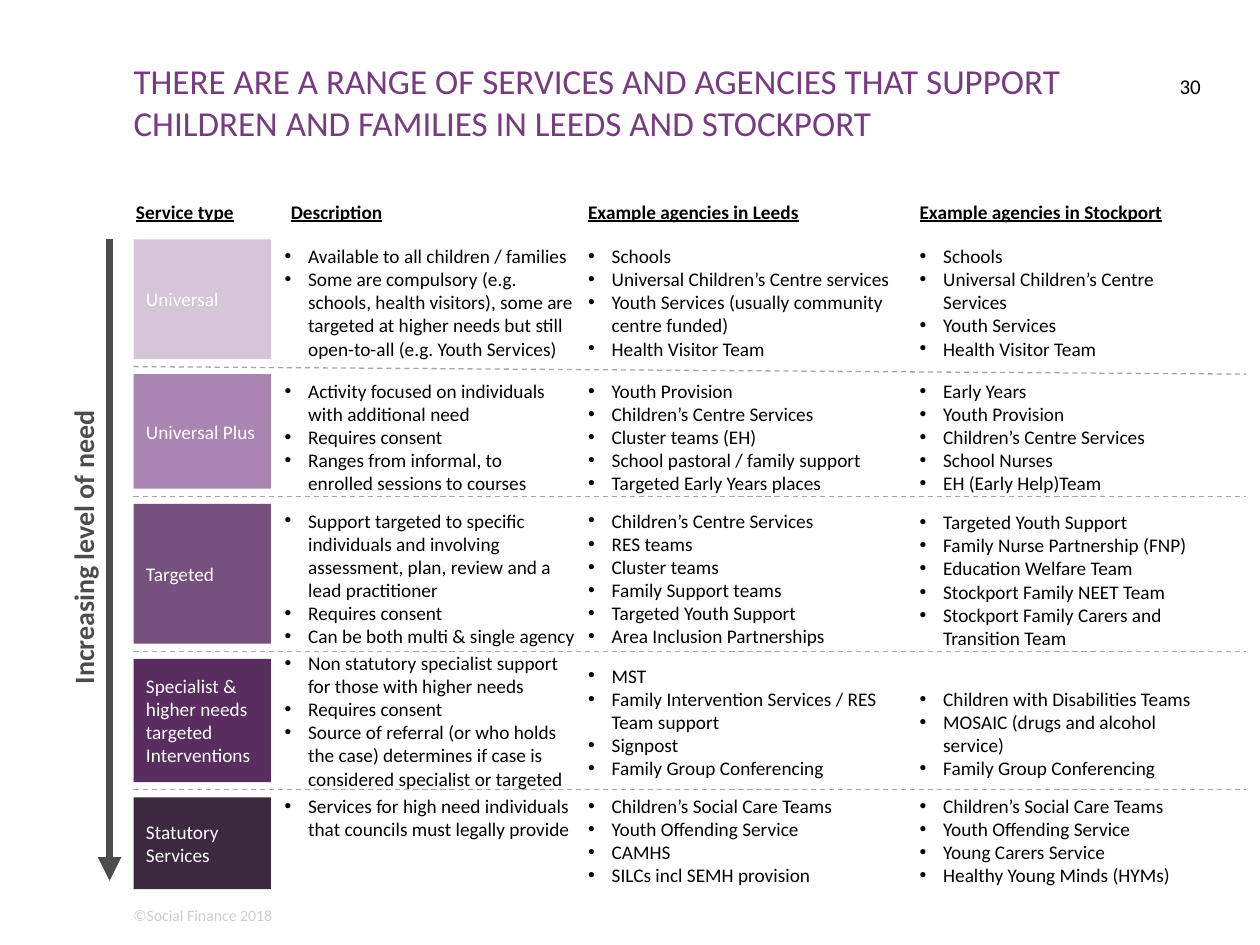
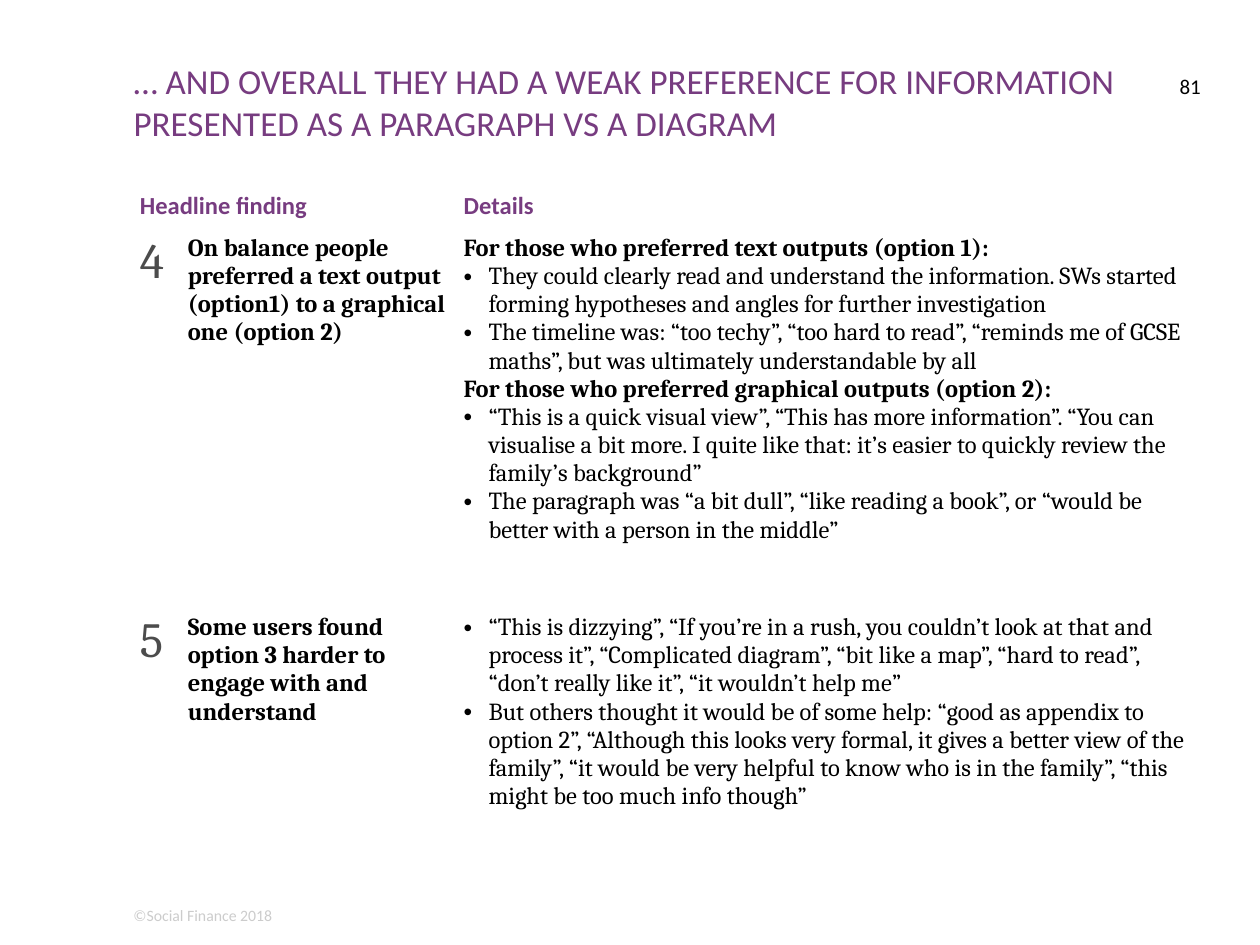
from pptx import Presentation
from pptx import util as u
from pptx.dml.color import RGBColor
from pptx.enum import dml, shapes, text
from lxml import etree
from pptx.oxml.ns import qn

COLORS = {
    "title": "773C80", "body": "000000", "white": "FFFFFF", "grey": "4C4C4C",
    "footer": "CCCCCC", "rule": "A6A6A6",
}
LEFT = 76.3


class Deck:
    def __init__(self):
        self.prs = Presentation()
        self.prs.slide_width, self.prs.slide_height = u.Pt(720), u.Pt(540)
        self.s = None

    def rgb(self, color):
        return RGBColor.from_string(COLORS.get(color, color))

    def place(self, sp, left, top, width, height):
        sp.left, sp.top = u.Pt(left), u.Pt(top)
        sp.width, sp.height = u.Pt(width), u.Pt(height)

    def frame(self, tf, inset=(7.2, 3.6), anchor="TOP"):
        tf.word_wrap = True
        tf.auto_size = text.MSO_AUTO_SIZE.NONE
        tf.margin_left = tf.margin_right = u.Pt(inset[0])
        tf.margin_top = tf.margin_bottom = u.Pt(inset[1])
        tf.vertical_anchor = text.MSO_ANCHOR[anchor]

    def set_text(self, tf, lines, size=11, color="body", bold=False, font="Calibri",
                 align="LEFT", underline=False, indent=0):
        lines = [lines] if isinstance(lines, str) else lines
        tf.text = "\n".join(lines)
        for p in tf.paragraphs:
            p.alignment = text.PP_ALIGN[align]
            if indent:
                self.bullet(p, indent)
            for r in p.runs:
                r.font.name, r.font.size = font, u.Pt(size)
                r.font.bold, r.font.underline = bold, underline
                r.font.color.rgb = self.rgb(color)

    def bullet(self, p, indent):
        pPr = p._p.get_or_add_pPr()
        pPr.set("marL", str(u.Pt(indent)))
        pPr.set("indent", str(-u.Pt(indent)))
        etree.SubElement(pPr, qn("a:buFont"), typeface="Arial")
        etree.SubElement(pPr, qn("a:buChar"), char="•")

    def slide(self, title, number):
        self.s = self.prs.slides.add_slide(self.prs.slide_layouts[5])
        sp = self.s.shapes.title
        self.place(sp, LEFT, 33.8, 574.6, 53.3)
        self.frame(sp.text_frame, (0, 0))
        self.set_text(sp.text_frame, title, 20, "title")
        self.text((666, 41.8, 20.2, 28.8), number, inset=(0, 0), size=12, align="RIGHT")
        self.text((LEFT, 517.7, 607.7, 10.8), "©Social Finance 2018", inset=(0, 0),
                  size=9, color="footer")

    def text(self, box, lines, inset=(7.2, 3.6), anchor="TOP", **style):
        sp = self.s.shapes.add_textbox(*map(u.Pt, box))
        self.frame(sp.text_frame, inset, anchor)
        self.set_text(sp.text_frame, lines, **style)
        return sp

    def block(self, box, label, fill):
        sp = self.s.shapes.add_shape(shapes.MSO_SHAPE.RECTANGLE, *map(u.Pt, box))
        sp.shadow.inherit = False
        sp.fill.solid()
        sp.fill.fore_color.rgb = self.rgb(fill)
        sp.line.fill.background()
        self.frame(sp.text_frame, anchor="MIDDLE")
        self.set_text(sp.text_frame, label, color="white")

    def line(self, start, end, color, width, dashed=False, arrow=False):
        sp = self.s.shapes.add_connector(
            shapes.MSO_CONNECTOR.STRAIGHT, *map(u.Pt, start + end))
        sp.line.color.rgb = self.rgb(color)
        sp.line.width = u.Pt(width)
        if dashed:
            sp.line.dash_style = dml.MSO_LINE.DASH
        spPr = sp._element.spPr
        if arrow:
            etree.SubElement(spPr.find(qn("a:ln")), qn("a:tailEnd"), type="triangle")
        etree.SubElement(spPr, qn("a:effectLst"))

    def table(self, left, top, widths, heights):
        sp = self.s.shapes.add_table(len(heights), len(widths), u.Pt(left), u.Pt(top),
                                     u.Pt(sum(widths)), u.Pt(sum(heights)))
        table = sp.table
        table.first_row = table.horz_banding = False
        for column, width in zip(table.columns, widths):
            column.width = u.Pt(width)
        for row, height in zip(table.rows, heights):
            row.height = u.Pt(height)
        for cell in table.iter_cells():
            cell.fill.background()
            cell.margin_left = cell.margin_right = u.Pt(3.6)
            cell.margin_top = cell.margin_bottom = u.Pt(3.6)
        return table


SERVICE_HEADERS = [
    (70.6, 114.5, "Service type"),
    (159.1, 213.8, "Description"),
    (329, 228.2, "Example agencies in Leeds"),
    (518.4, 228.2, "Example agencies in Stockport"),
]
COLUMN_LEFTS = (155.5, 329, 518.4)

SERVICES = [
    ("Universal", "D6C4D9", 68.4, (182, 201.6, 168), (-0.7, -0.7, -0.7), (
        ["Available to all children / families",
         "Some are compulsory (e.g. schools, health visitors), some are targeted at "
         "higher needs but still open-to-all (e.g. Youth Services)"],
        ["Schools", "Universal Children’s Centre services",
         "Youth Services (usually community centre funded)", "Health Visitor Team"],
        ["Schools", "Universal Children’s Centre Services", "Youth Services",
         "Health Visitor Team"])),
    ("Universal Plus", "AA85B1", 65.5, (173.5, 201.6, 191.5), (-0.7, -0.7, -0.7), (
        ["Activity focused on individuals with additional need", "Requires consent",
         "Ranges from informal, to enrolled sessions to courses"],
        ["Youth Provision", "Children’s Centre Services", "Cluster teams (EH)",
         "School pastoral / family support", "Targeted Early Years places"],
        ["Early Years", "Youth Provision", "Children’s Centre Services",
         "School Nurses", "EH (Early Help)Team"])),
    ("Targeted", "77517E", 80, (182, 201.6, 194.4), (-0.7, -0.7, 0.3), (
        ["Support targeted to specific individuals and involving assessment, plan, "
         "review and a lead practitioner",
         "Requires consent", "Can be both multi & single agency"],
        ["Children’s Centre Services", "RES teams", "Cluster teams",
         "Family Support teams", "Targeted Youth Support",
         "Area Inclusion Partnerships"],
        ["Targeted Youth Support", "Family Nurse Partnership (FNP)",
         "Education Welfare Team", "Stockport Family NEET Team",
         "Stockport Family Carers and Transition Team"])),
    ("Specialist & higher needs targeted Interventions", "592D60", 70.5,
     (182, 201.6, 182), (-7.9, -0.7, 12.7), (
        ["Non statutory specialist support for those with higher needs",
         "Requires consent",
         "Source of referral (or who holds the case) determines if case is considered "
         "specialist or targeted"],
        ["MST", "Family Intervention Services / RES Team support", "Signpost",
         "Family Group Conferencing"],
        ["Children with Disabilities Teams", "MOSAIC (drugs and alcohol service)",
         "Family Group Conferencing"])),
    ("Statutory Services", "3C283F", 52.5, (179.3, 201.6, 191.5), (-5.3, -5.3, -5.3), (
        ["Services for high need individuals that councils must legally provide"],
        ["Children’s Social Care Teams", "Youth Offending Service", "CAMHS",
         "SILCs incl SEMH provision"],
        ["Children’s Social Care Teams", "Youth Offending Service",
         "Young Carers Service", "Healthy Young Minds (HYMs)"])),
]

FINDINGS = [
    ("4", "On balance people preferred a text output (option1) to a graphical one "
          "(option 2)",
     [("For those who preferred text outputs (option 1):", False),
      ("They could clearly read and understand the information. SWs started forming "
       "hypotheses and angles for further investigation", True),
      ("The timeline was: “too techy”, “too hard to read”, “reminds me of GCSE "
       "maths”, but was ultimately understandable by all", True),
      ("For those who preferred graphical outputs (option 2):", False),
      ("“This is a quick visual view”, “This has more information”. “You can "
       "visualise a bit more. I quite like that: it’s easier to quickly review the "
       "family’s background”", True),
      ("The paragraph was “a bit dull”, “like reading a book”, or “would be better "
       "with a person in the middle”", True)]),
    ("5", "Some users found option 3 harder to engage with and understand",
     [("“This is dizzying”, “If you’re in a rush, you couldn’t look at that and "
       "process it”, “Complicated diagram”, “bit like a map”, “hard to read”, “don’t "
       "really like it”, “it wouldn’t help me”", True),
      ("But others thought it would be of some help: “good as appendix to option 2”, "
       "“Although this looks very formal, it gives a better view of the family”, “it "
       "would be very helpful to know who is in the family”, “this might be too much "
       "info though”", True)]),
]


def services_slide(deck):
    deck.slide("THERE ARE A RANGE OF SERVICES AND AGENCIES THAT SUPPORT CHILDREN AND "
               "FAMILIES IN LEEDS AND STOCKPORT", "30")
    for left, width, header in SERVICE_HEADERS:
        deck.text((left, 105.1, width, 31.7), header, anchor="MIDDLE", bold=True,
                  underline=True)
    top, gap = 136.8, 8.6
    for i, (label, fill, height, widths, offsets, columns) in enumerate(SERVICES):
        if i:
            rule = top - gap / 2
            slope = 4.3 if i == 1 else 0
            deck.line((LEFT, rule), (712, rule + slope), "rule", 0.75, dashed=True)
        deck.block((LEFT, top, 78.5, height), label, fill)
        for left, width, offset, lines in zip(COLUMN_LEFTS, widths, offsets, columns):
            deck.text((left, top + offset, width, height + 1.4), lines, indent=13.5)
        top += height + gap
    deck.line((62.6, 136.8), (62.6, 503.3), "grey", 4.5, arrow=True)
    sp = deck.text((-60.5, 303.1, 216, 19.4), "Increasing level of need", inset=(0, 0),
                   size=16, color="grey", bold=True, align="CENTER")
    sp.rotation = 270


def findings_slide(deck):
    deck.slide("… AND OVERALL THEY HAD A WEAK PREFERENCE FOR INFORMATION PRESENTED AS A "
               "PARAGRAPH VS A DIAGRAM", "81")
    table = deck.table(LEFT, 105.8, (27.4, 157.7, 426.2), (24.5, 216.7, 159.8))
    table.cell(0, 0).merge(table.cell(0, 1))
    for col, header in ((0, "Headline finding"), (2, "Details")):
        deck.set_text(table.cell(0, col).text_frame, header, 14, "title", bold=True)
    for row, (number, headline, details) in enumerate(FINDINGS, 1):
        number_tf, headline_tf, details_tf = (
            table.cell(row, col).text_frame for col in range(3))
        deck.set_text(number_tf, number, 28, "grey", font="Cambria")
        deck.set_text(headline_tf, headline, 14, bold=True, font="Cambria")
        deck.set_text(details_tf, [line for line, _ in details], 14, font="Cambria")
        for p, (_, bulleted) in zip(details_tf.paragraphs, details):
            if bulleted:
                deck.bullet(p, 14.2)
            else:
                p.runs[0].font.bold = True


def main():
    deck = Deck()
    services_slide(deck)
    findings_slide(deck)
    deck.prs.save("out.pptx")


if __name__ == "__main__":
    main()
